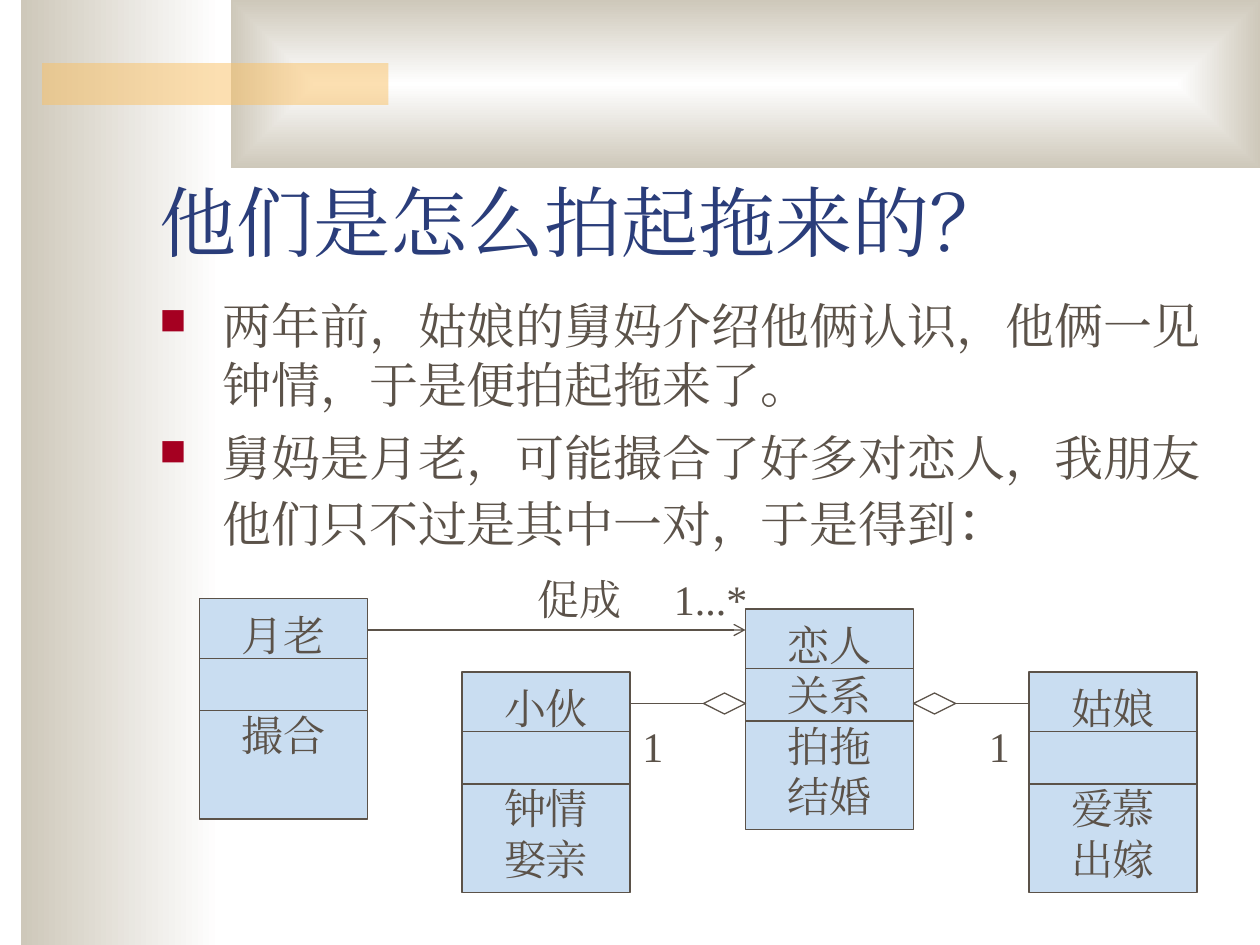
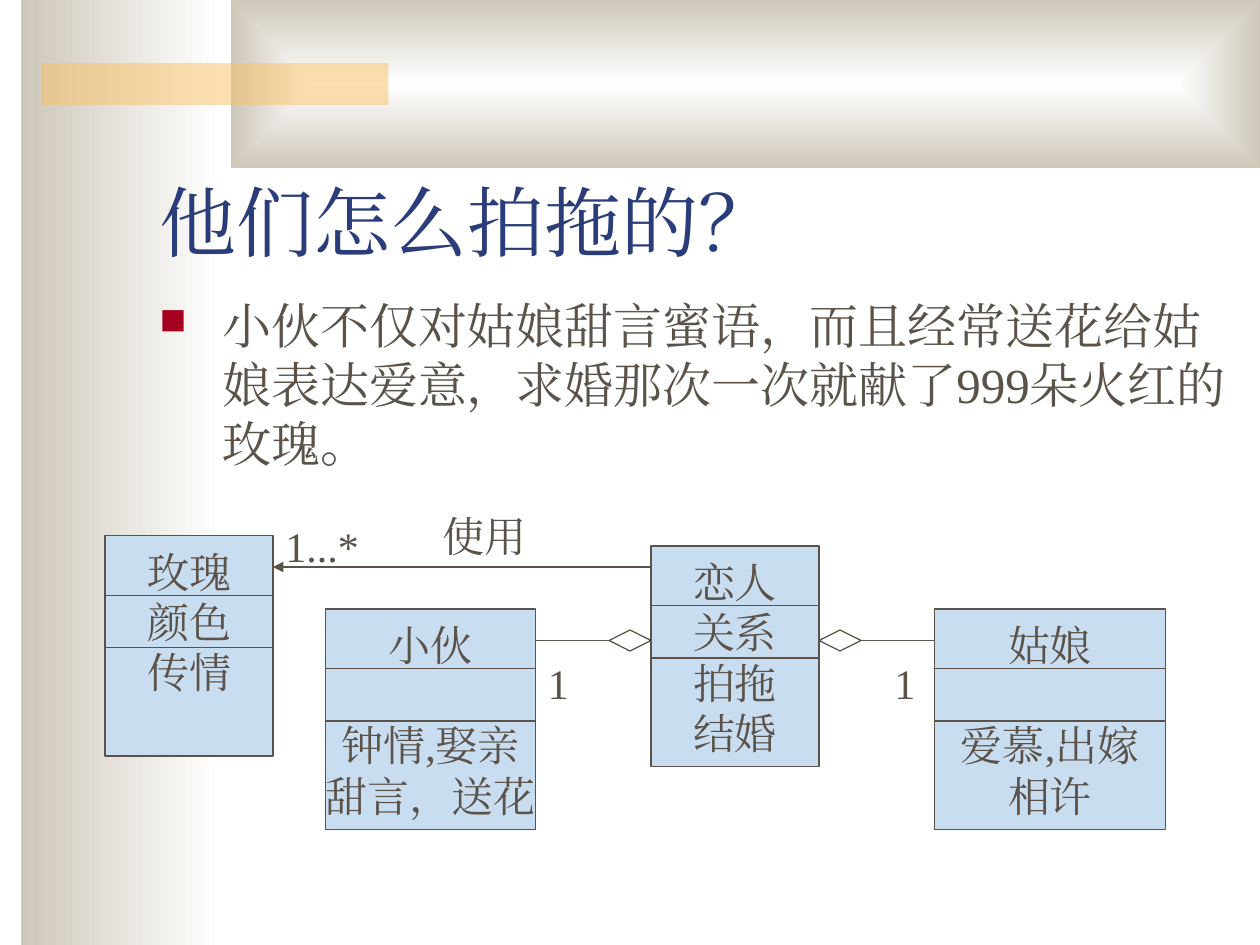
from lxml.etree import SubElement
from pptx import Presentation
from pptx.dml.color import RGBColor
from pptx.enum.shapes import MSO_CONNECTOR, MSO_SHAPE
from pptx.enum.text import MSO_ANCHOR, MSO_AUTO_SIZE, PP_ALIGN
from pptx.oxml.ns import qn
from pptx.util import Pt

FONT = "Times New Roman"
WHITE = RGBColor(0xFF, 0xFF, 0xFF)
STONE = RGBColor(0xCE, 0xC8, 0xBA)
AMBER = RGBColor(0xFA, 0xC1, 0x64)
NAVY = RGBColor(0x2A, 0x3D, 0x7A)
BROWN = RGBColor(0x5B, 0x52, 0x49)
RED = RGBColor(0xA5, 0x00, 0x21)
SKY = RGBColor(0xC9, 0xDD, 0xF1)

CLASS_HEIGHT = 126
DIVIDERS = (34.2, 64)
LINE_HEIGHT = 28.5
LINK_DROP = 18
DIAMOND_WIDTH, DIAMOND_HEIGHT = 24, 12
COUNT_WIDTH = 30


class Deck:
    """Holds the presentation, its style and the slide being filled."""

    def __init__(self):
        self.presentation = Presentation()
        self.presentation.slide_width = Pt(720)
        self.presentation.slide_height = Pt(540)
        self.slide = None

    def new_slide(self, title):
        """Start a slide with the shared bands and its title."""
        self.slide = self.presentation.slides.add_slide(self.presentation.slide_layouts[6])
        self.gradient_band(12, 0, 114, 540)
        header = self.gradient_band(132, 0, 588, 96)
        gradient = header.fill._xPr.find(qn("a:gradFill"))
        gradient.remove(gradient.find(qn("a:lin")))
        center = SubElement(gradient, qn("a:path"), path="rect")
        SubElement(center, qn("a:fillToRect"), l="50000", t="50000", r="50000", b="50000")

        accent = self.shape(MSO_SHAPE.RECTANGLE, 24, 36, 198, 24, AMBER)
        color = accent.fill._xPr.find(qn("a:solidFill"))[0]
        SubElement(color, qn("a:alpha"), val="50000")

        frame = self.text_frame(84, 66, 612, 90)
        frame.vertical_anchor = MSO_ANCHOR.BOTTOM
        frame.text = title
        self.style(frame.paragraphs[0], 44, NAVY)

    def shape(self, preset, left, top, width, height, fill=None):
        """Add a preset shape without shadow or outline."""
        shape = self.slide.shapes.add_shape(preset, Pt(left), Pt(top), Pt(width), Pt(height))
        shape.shadow.inherit = False
        shape.line.fill.background()
        if fill is None:
            shape.fill.background()
        else:
            shape.fill.solid()
            shape.fill.fore_color.rgb = fill
        return shape

    def gradient_band(self, left, top, width, height):
        """Add a band that fades from white to stone."""
        band = self.shape(MSO_SHAPE.RECTANGLE, left, top, width, height)
        band.fill.gradient()
        band.fill.gradient_angle = 180
        for stop, color, position in zip(band.fill.gradient_stops, (WHITE, STONE), (0, 1)):
            stop.color.rgb = color
            stop.position = position
        return band

    def outline(self, line):
        """Give a line the diagram's stroke."""
        line.color.rgb = BROWN
        line.width = Pt(0.75)

    def style(self, paragraph, size, color):
        """Set the font of a whole paragraph, for Latin and Chinese text."""
        paragraph.font.size = Pt(size)
        paragraph.font.name = FONT
        paragraph.font.color.rgb = color
        defaults = paragraph._p.pPr.find(qn("a:defRPr"))
        SubElement(defaults, qn("a:ea"), typeface=FONT)

    def text_frame(self, left, top, width, height):
        """Add a wrapping text box and return its frame."""
        box = self.slide.shapes.add_textbox(Pt(left), Pt(top), Pt(width), Pt(height))
        box.text_frame.word_wrap = True
        return box.text_frame

    def bullets(self, items, width=612, height=324):
        """Add the body; each item is a list of (text, size) runs."""
        frame = self.text_frame(84, 165.6, width, height)
        for index, runs in enumerate(items):
            paragraph = frame.add_paragraph() if index else frame.paragraphs[0]
            properties = paragraph._p.get_or_add_pPr()
            properties.set("marL", str(Pt(36)))
            properties.set("indent", str(Pt(-36)))
            if index:
                paragraph.space_before = Pt(8)
            color = SubElement(properties, qn("a:buClr"))
            SubElement(color, qn("a:srgbClr"), val=str(RED))
            SubElement(properties, qn("a:buSzPct"), val="75000")
            SubElement(properties, qn("a:buChar"), char="■")
            self.style(paragraph, 28, BROWN)
            for text, size in runs:
                run = paragraph.add_run()
                run.text = text
                if size != 28:
                    run.font.size = Pt(size)

    def label(self, text, left, top, width):
        """Add a caption beside a link."""
        frame = self.text_frame(left, top, width, 36)
        frame.auto_size = MSO_AUTO_SIZE.SHAPE_TO_FIT_TEXT
        frame.text = text
        self.style(frame.paragraphs[0], 24, BROWN)

    def link(self, x1, y1, x2, y2, arrow=None):
        """Add a straight line, with an arrowhead at its end if named."""
        link = self.slide.shapes.add_connector(
            MSO_CONNECTOR.STRAIGHT, Pt(x1), Pt(y1), Pt(x2), Pt(y2))
        self.outline(link.line)
        if arrow:
            SubElement(link.line._get_or_add_ln(), qn("a:tailEnd"), type=arrow)
        SubElement(link._element.spPr, qn("a:effectLst"))
        return link

    def uml_class(self, left, top, lines, width=96):
        """Add a class box; an empty string skips a line."""
        box = self.shape(MSO_SHAPE.RECTANGLE, left, top, width, CLASS_HEIGHT, SKY)
        self.outline(box.line)
        frame = box.text_frame
        frame.word_wrap = False
        frame.vertical_anchor = MSO_ANCHOR.TOP
        frame.margin_top = Pt(6)
        paragraph, skipped = frame.paragraphs[0], 0
        for index, text in enumerate(lines):
            if not text:
                skipped += 1
                continue
            if index:
                paragraph = frame.add_paragraph()
            paragraph.text = text
            paragraph.alignment = PP_ALIGN.CENTER
            if skipped:
                paragraph.space_before = Pt(LINE_HEIGHT * skipped)
            self.style(paragraph, 24, BROWN)
            skipped = 0
        for drop in DIVIDERS:
            self.link(left, top + drop, left + width, top + drop)

    def aggregation(self, whole_x, part_x, part_top):
        """Join a part to its whole with a diamond and the count 1."""
        y = part_top + LINK_DROP
        part_on_left = part_x < whole_x
        diamond_left = whole_x - DIAMOND_WIDTH if part_on_left else whole_x
        diamond = self.shape(MSO_SHAPE.DIAMOND, diamond_left, y - DIAMOND_HEIGHT / 2,
                             DIAMOND_WIDTH, DIAMOND_HEIGHT)
        self.outline(diamond.line)
        tip = diamond_left if part_on_left else diamond_left + DIAMOND_WIDTH
        self.link(tip, y, part_x, y).begin_connect(diamond, 1 if part_on_left else 3)
        count_left = part_x if part_on_left else part_x - COUNT_WIDTH
        self.label("1", count_left, part_top + 24, COUNT_WIDTH)

    def couple(self, left, top, boy, girl):
        """Add the lovers with boy and girl as (left, width, operations)."""
        part_top = top + 36
        self.uml_class(left, top, ["恋人", "关系", "拍拖", "结婚"])
        for name, (part_left, width, operations) in (("小伙", boy), ("姑娘", girl)):
            self.uml_class(part_left, part_top, [name, "", *operations], width)
        self.aggregation(left, boy[0] + boy[1], part_top)
        self.aggregation(left + 96, girl[0], part_top)


def main():
    deck = Deck()

    deck.new_slide("他们是怎么拍起拖来的？")
    deck.bullets([
        [("两年前，姑娘的舅妈介绍他俩认识，他俩一见钟情，于是便拍起拖来了。", 28)],
        [("舅妈是月老，可能撮合了好多对恋人，我朋友他们只不过是其中一对，于是得到", 28),
         ("：", 32)],
    ])
    deck.couple(426, 348, (264, 96, ["钟情", "娶亲"]), (588, 96, ["爱慕", "出嫁"]))
    deck.uml_class(114, 342, ["月老", "", "撮合"])
    deck.link(210, 360, 426, 360, "arrow")
    deck.label("促成", 300, 324, 90)
    deck.label("1...*", 378, 324, 78)

    deck.new_slide("他们怎么拍拖的？")
    deck.bullets([
        [("小伙不仅对姑娘甜言蜜语，而且经常送花给姑娘表达爱意，"
          "求婚那次一次就献了999朵火红的玫瑰。", 28)],
    ], 636, 374.4)
    deck.couple(372, 312, (186, 120, ["钟情,娶亲", "甜言，送花"]),
                (534, 132, ["爱慕,出嫁", "相许"]))
    deck.uml_class(60, 306, ["玫瑰", "颜色", "传情"])
    deck.link(372, 324, 156, 324, "triangle")
    deck.label("使用", 246, 288, 90)
    deck.label("1...*", 156, 294, 78)

    deck.presentation.save("out.pptx")


if __name__ == "__main__":
    main()
